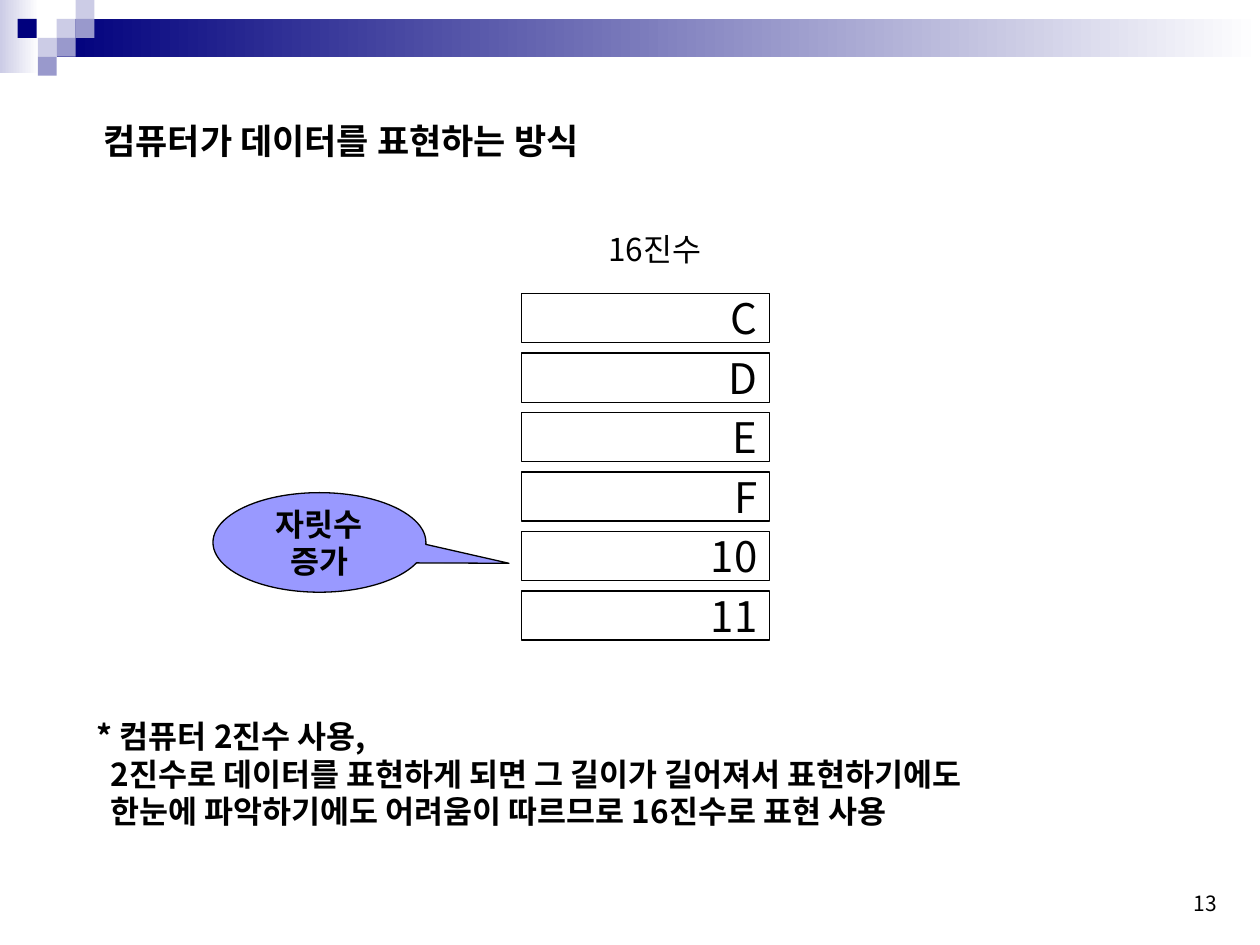
from lxml import etree
from pptx import Presentation
from pptx.dml.color import RGBColor
from pptx.enum.shapes import MSO_SHAPE
from pptx.enum.text import MSO_ANCHOR, MSO_AUTO_SIZE, PP_ALIGN
from pptx.oxml.ns import qn
from pptx.util import Inches, Pt

RECT, CALLOUT = MSO_SHAPE.RECTANGLE, MSO_SHAPE.OVAL_CALLOUT
TOP, MIDDLE, BOTTOM = MSO_ANCHOR.TOP, MSO_ANCHOR.MIDDLE, MSO_ANCHOR.BOTTOM
LEFT, CENTER, RIGHT = PP_ALIGN.LEFT, PP_ALIGN.CENTER, PP_ALIGN.RIGHT
NO_AUTOFIT = MSO_AUTO_SIZE.NONE
FONT = "Noto Sans CJK KR"
NAVY, LILAC, VIOLET = "00007D", "CCCCE6", "9999CC"


def add_box(kind, left, top, width, height, colors, outlined=False):
    box = slide.shapes.add_shape(kind, Inches(left), Inches(top), Inches(width), Inches(height))
    box.shadow.inherit = False
    if len(colors) == 2:
        box.fill.gradient()
        box.fill.gradient_angle = 0
        for stop, color in zip(box.fill.gradient_stops, colors):
            stop.color.rgb = RGBColor.from_string(color)
    else:
        box.fill.solid()
        box.fill.fore_color.rgb = RGBColor.from_string(colors[0])
    if outlined:
        box.line.color.rgb = RGBColor.from_string("000000")
        box.line.width = Pt(0.75)
    else:
        box.line.fill.background()
    return box


def write(box, lines, size, bold=False, align=LEFT, anchor=TOP, wrap=False):
    frame = box.text_frame
    frame.auto_size = NO_AUTOFIT
    frame.word_wrap = wrap
    frame.vertical_anchor = anchor
    for index, line in enumerate(lines):
        paragraph = frame.add_paragraph() if index else frame.paragraphs[0]
        paragraph.alignment = align
        run = paragraph.add_run()
        run.text = line
        run.font.size = Pt(size)
        run.font.bold = bold
        run.font.color.rgb = RGBColor.from_string("000000")
        run.font.name = FONT
        etree.SubElement(run.font._element, qn("a:ea")).set("typeface", FONT)


deck = Presentation()
deck.slide_width, deck.slide_height = Inches(10), Inches(7.5)
slide = deck.slides.add_slide(deck.slide_layouts[5])

add_box(RECT, 0, 0, 0.31, 0.58, [LILAC, "FFFFFF"])
add_box(RECT, 0.45, 0.15, 9.55, 0.3, [NAVY, "FFFFFF"])
for left, top, color in [
    (0.45, 0.15, LILAC),
    (0.6, 0, LILAC),
    (0.6, 0.15, VIOLET),
    (0.3, 0.3, LILAC),
    (0.14, 0.15, NAVY),
    (0.45, 0.3, VIOLET),
    (0.3, 0.45, VIOLET),
]:
    add_box(RECT, left, top, 0.15, 0.15, [color])

title = slide.shapes.title
title.left, title.top, title.width, title.height = Inches(0.72), Inches(0.9), Inches(4.2), Inches(0.44)
write(title, ["컴퓨터가 데이터를 표현하는 방식"], 20, bold=True)

column_heading = slide.shapes.add_textbox(Inches(4.73), Inches(1.78), Inches(1.02), Inches(0.4))
write(column_heading, ["16진수"], 18)

for row, hex_value in enumerate(["C", "D", "E", "F", "10", "11"]):
    cell = add_box(RECT, 4.14, 2.33 + row * 0.472, 1.97, 0.39, ["FFFFFF"], outlined=True)
    write(cell, [hex_value], 24, align=RIGHT, anchor=MIDDLE)

digit_callout = add_box(CALLOUT, 1.69, 3.91, 1.69, 0.79, ["9999FF"], outlined=True)
digit_callout.adjustments[0] = 0.89
digit_callout.adjustments[1] = 0.21
write(digit_callout, ["자릿수 증가"], 18, bold=True, align=CENTER, anchor=MIDDLE, wrap=True)

explanation = slide.shapes.add_textbox(Inches(0.67), Inches(5.64), Inches(8.66), Inches(1))
write(explanation, [
    "* 컴퓨터 2진수 사용,",
    "2진수로 데이터를 표현하게 되면 그 길이가 길어져서 표현하기에도",
    "한눈에 파악하기에도 어려움이 따르므로 16진수로 표현 사용",
], 18, bold=True, wrap=True)
for paragraph in explanation.text_frame.paragraphs[1:]:
    paragraph._p.get_or_add_pPr().set("marL", str(Inches(0.11)))

page_number = slide.shapes.add_textbox(Inches(7.2), Inches(6.82), Inches(2.56), Inches(0.5))
write(page_number, ["13"], 12, align=RIGHT, anchor=BOTTOM, wrap=True)

deck.save("out.pptx")
